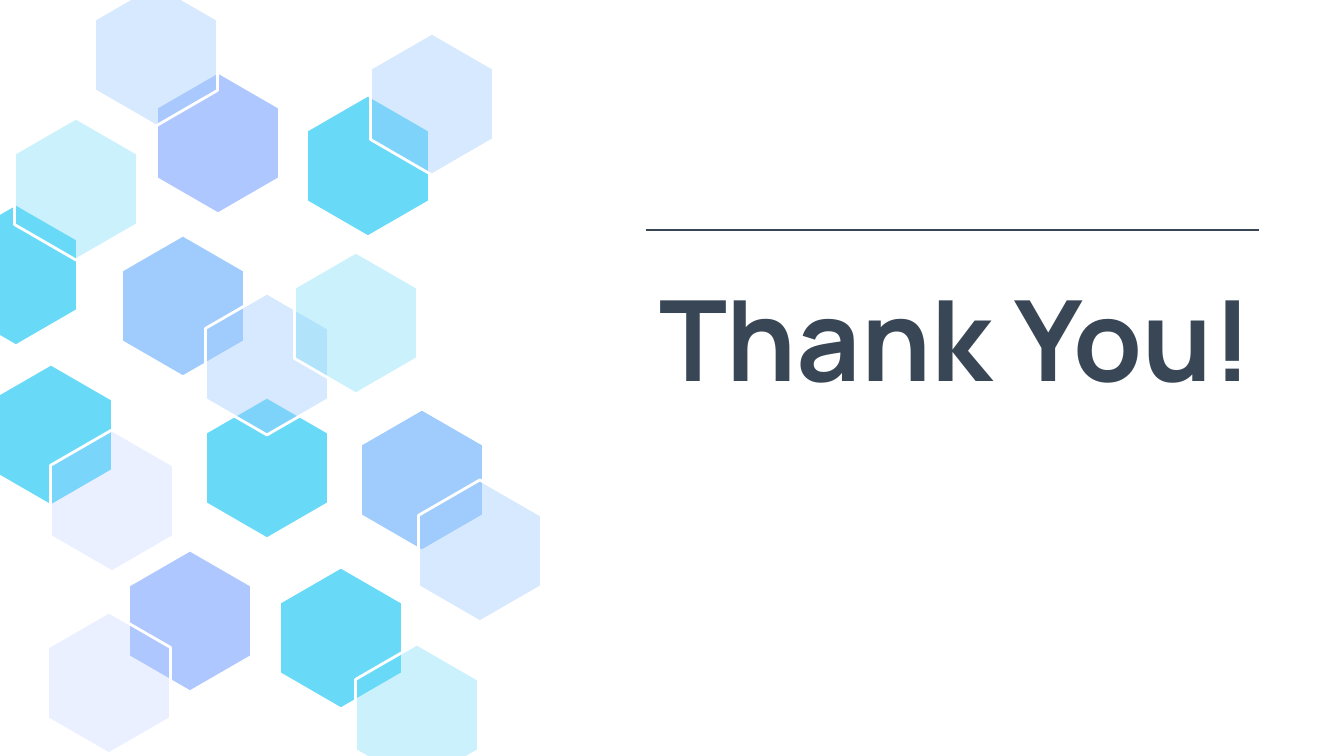
from math import cos, radians, sin

from lxml import etree
from pptx import Presentation
from pptx.dml.color import RGBColor
from pptx.enum.shapes import MSO_CONNECTOR
from pptx.enum.text import MSO_ANCHOR, PP_ALIGN
from pptx.oxml.ns import qn
from pptx.util import Pt

COLORS = {"ink": "384655", "cyan": "68DAF8", "blue": "9FCBFD",
          "violet": "AFC7FF", "white": "FFFFFF"}
TINT_OPACITY = {"cyan": 34, "blue": 41, "violet": 25}  # percent

TITLE = "Thank You!"
TITLE_BOX = (646, 203, 698, 267)
RULE = (646, 230, 1259, 230)

# centre x, centre y, colour, tinted; from back to front
HEXAGONS = [
    (368, 166, "cyan", False),
    (267, 468, "cyan", False),
    (218, 143, "violet", False),
    (156, 55, "blue", True),
    (183, 306, "blue", False),
    (267, 364, "blue", True),
    (356, 323, "cyan", True),
    (51, 435, "cyan", False),
    (190, 621, "violet", False),
    (109, 683, "violet", True),
    (422, 480, "blue", False),
    (480, 551, "blue", True),
    (341, 638, "cyan", False),
    (417, 715, "cyan", True),
    (112, 501, "violet", True),
    (432, 104, "blue", True),
    (16, 275, "cyan", False),
    (76, 189, "cyan", True),
]
RADIUS = 71
LINE_WIDTH = Pt(1.5)


def px(n):
    return round(n * 914400 / 134.4)


def rgb(name):
    return RGBColor.from_string(COLORS[name])


def add_title(shapes):
    tf = shapes.add_textbox(*map(px, TITLE_BOX)).text_frame
    tf.word_wrap = True
    tf.vertical_anchor = MSO_ANCHOR.MIDDLE
    tf.margin_left = tf.margin_right = tf.margin_top = tf.margin_bottom = px(13)
    p = tf.paragraphs[0]
    p.text = TITLE
    p.alignment = PP_ALIGN.LEFT
    p.font.name = "Manrope"
    p.font.size = Pt(60)
    p.font.bold = True
    p.font.color.rgb = rgb("ink")


def add_hexagon(shapes, x, y, color, tinted):
    points = [(px(x + RADIUS * cos(radians(a))), px(y + RADIUS * sin(radians(a))))
              for a in range(-90, 270, 60)]
    builder = shapes.build_freeform(*points[0])
    builder.add_line_segments(points[1:], close=True)
    sp = builder.convert_to_shape()
    sp.shadow.inherit = False
    sp.fill.solid()
    sp.fill.fore_color.rgb = rgb(color)
    sp.line.color.rgb = rgb("white")
    sp.line.width = LINE_WIDTH
    if tinted:
        fill = sp.element.spPr.find(qn("a:solidFill"))
        etree.SubElement(fill[0], qn("a:alpha"), val=str(TINT_OPACITY[color] * 1000))


def add_rule(shapes):
    line = shapes.add_connector(MSO_CONNECTOR.STRAIGHT, *map(px, RULE))
    line.line.color.rgb = rgb("ink")
    line.line.width = LINE_WIDTH
    etree.SubElement(line.element.spPr, qn("a:effectLst"))


prs = Presentation()
prs.slide_width, prs.slide_height = px(1344), px(756)
s = prs.slides.add_slide(prs.slide_layouts[6])
add_title(s.shapes)
for hexagon in HEXAGONS:
    add_hexagon(s.shapes, *hexagon)
add_rule(s.shapes)
prs.save("out.pptx")
